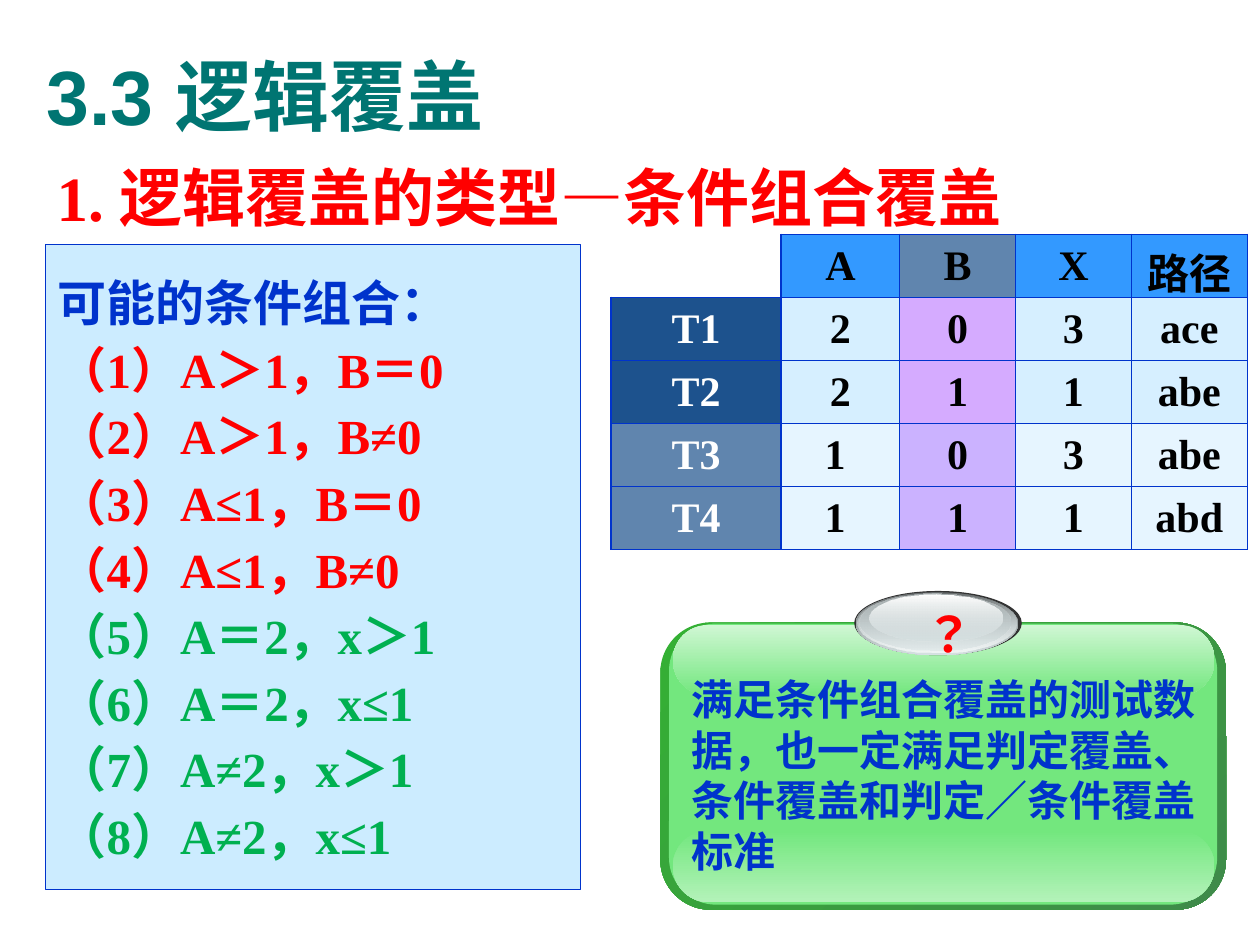
from lxml.etree import SubElement
from pptx import Presentation
from pptx.dml.color import RGBColor
from pptx.enum.shapes import MSO_SHAPE as Shape
from pptx.enum.text import MSO_ANCHOR as Anchor, MSO_AUTO_SIZE as AutoSize, PP_ALIGN as Align
from pptx.oxml.ns import qn
from pptx.oxml import parse_xml
from pptx.oxml.ns import nsdecls
from pptx.util import Inches, Pt

SERIF, SANS = "Times New Roman", "Arial"
BLUE, RED, GREEN, WHITE, BLACK = "0033CC", "FF0000", "00B050", "FFFFFF", "000000"

TITLE = "3.3 逻辑覆盖"
HEADING = [("1. ", SERIF), ("逻辑覆盖的类型", SANS), ("—", SERIF), ("条件组合覆盖", SANS)]
CONDITIONS = [
    ("可能的条件组合：", BLUE),
    ("（1）A＞1，B＝0", RED),
    ("（2）A＞1，B≠0", RED),
    ("（3）A≤1，B＝0", RED),
    ("（4）A≤1，B≠0", RED),
    ("（5）A＝2，x＞1", GREEN),
    ("（6）A＝2，x≤1", GREEN),
    ("（7）A≠2，x＞1", GREEN),
    ("（8）A≠2，x≤1", GREEN),
]
CASES = [
    ("", "A", "B", "X", "路径"),
    ("T1", "2", "0", "3", "ace"),
    ("T2", "2", "1", "1", "abe"),
    ("T3", "1 ", "0", "3", "abe"),
    ("T4", "1 ", "1", "1", "abd"),
]
COLUMN_WIDTHS = (1.35, 0.94, 0.92, 0.92, 0.92)
ROW_HEIGHT = 0.5

# Cell fills as (colour, opacity %): label column, B column, other columns
HEADER_FILLS = (None, ("1D528D", 70), ("3399FF", 100))
STRONG_FILLS = (("1D528D", 100), ("CC99FF", 82), ("CCECFF", 80))
PALE_FILLS = (("1D528D", 70), ("9966FF", 50), ("CCECFF", 48))
ROW_FILLS = (HEADER_FILLS, STRONG_FILLS, STRONG_FILLS, PALE_FILLS, PALE_FILLS)

# Layers from back to front: box, corner rounding, colour stops, angle
PANEL_LAYERS = [
    ((5.24, 4.94, 4.49, 2.28), 0.175, [("34B034", 100), ("3F8B4A", 100)], 45),
    ((5.31, 4.95, 4.35, 2.23), 0.167, [("73E77E", 100)], 0),
    ((5.34, 6.59, 4.30, 0.57), 0.5, [("73E77E", 100), ("B3F2B9", 100)], 90),
    ((5.34, 4.96, 4.30, 0.56), 0.5, [("D0F7D4", 100), ("73E77E", 100)], 90),
]
BADGE_LAYERS = [
    ((6.78, 4.69, 1.33, 0.51), None, [("333333", 100)], 0),
    ((6.79, 4.70, 1.29, 0.50), None, [("636869", 100), ("D6E1E2", 100)], 90),
    ((6.81, 4.70, 1.26, 0.48), None, [("D6E1E2", 0), ("F1F5F5", 100)], 90),
    ((6.82, 4.71, 1.20, 0.45), None, [("AAB2B3", 100), ("D6E1E2", 48)], 90),
    ((6.90, 4.72, 1.06, 0.37), None, [("FFFFFF", 100), ("D6E1E2", 38)], 90),
]
BADGE_MARK = "？"
CONCLUSION = "满足条件组合覆盖的测试数据，也一定满足判定覆盖、条件覆盖和判定／条件覆盖标准"


def rgb(value):
    return RGBColor.from_string(value)


def inches(box):
    return [Inches(length) for length in box]


def style_runs(paragraph, size, colour, font=SERIF):
    for run in paragraph.runs:
        run.font.size, run.font.bold, run.font.name = Pt(size), True, font
        run.font.color.rgb = rgb(colour)


def space_lines(paragraph, line_spacing, gap, first):
    paragraph.line_spacing = line_spacing
    paragraph.space_before = Pt(0 if first else gap)
    paragraph.space_after = Pt(gap)


def set_opacity(properties, opacities):
    for colour, opacity in zip(properties.iter(qn("a:srgbClr")), opacities):
        if opacity < 100:
            SubElement(colour, qn("a:alpha")).set("val", str(opacity * 1000))


def add_layer(shapes, box, rounding, stops, angle):
    kind = Shape.OVAL if rounding is None else Shape.ROUNDED_RECTANGLE
    layer = shapes.add_shape(kind, *inches(box))
    if rounding is not None:
        layer.adjustments[0] = rounding
    layer.shadow.inherit = False
    if len(stops) == 1:
        layer.fill.solid()
        layer.fill.fore_color.rgb = rgb(stops[0][0])
    else:
        layer.fill.gradient()
        layer.fill.gradient_angle = 360 - angle
        for stop, (colour, _) in zip(layer.fill.gradient_stops, stops):
            stop.color.rgb = rgb(colour)
    set_opacity(layer._element.spPr, [opacity for _, opacity in stops])
    layer.line.fill.background()
    return layer


def set_borders(cell, hidden):
    """Line all four sides of a cell, leaving the hidden ones blank."""
    for index, side in enumerate("LRTB"):
        paint = ("<a:noFill/>" if side in hidden else
                 f'<a:solidFill><a:srgbClr val="{BLUE}"/></a:solidFill>')
        border = parse_xml(f'<a:ln{side} {nsdecls("a")} w="12700">{paint}</a:ln{side}>')
        cell._tc.get_or_add_tcPr().insert(index, border)


def add_case_table(shapes):
    size = (sum(COLUMN_WIDTHS), ROW_HEIGHT * len(CASES))
    table = shapes.add_table(len(CASES), len(COLUMN_WIDTHS), *inches((4.85, 1.86, *size))).table
    table.first_row = table.horz_banding = False
    for column, width in zip(table.columns, COLUMN_WIDTHS):
        column.width = Inches(width)
    for r, (case, fills) in enumerate(zip(CASES, ROW_FILLS)):
        table.rows[r].height = Inches(ROW_HEIGHT)
        for c, value in enumerate(case):
            cell = table.cell(r, c)
            fill = fills[{0: 0, 2: 1}.get(c, 2)]
            if fill:
                cell.fill.solid()
                cell.fill.fore_color.rgb = rgb(fill[0])
                set_opacity(cell._tc.tcPr, [fill[1]])
            else:
                cell.fill.background()
            set_borders(cell, "" if fill else "LT")
            cell.vertical_anchor = Anchor.MIDDLE
            cell.text_frame.text = value
            paragraph = cell.text_frame.paragraphs[0]
            paragraph.alignment = Align.CENTER
            style_runs(paragraph, 24, WHITE if c == 0 else BLACK)


def add_title(slide):
    title = slide.shapes.title
    title.left, title.top, title.width, title.height = inches((0.27, 0.13, 9.34, 1.25))
    frame = title.text_frame
    frame.text = TITLE
    frame.auto_size, frame.vertical_anchor = AutoSize.NONE, Anchor.MIDDLE
    frame.paragraphs[0].alignment = Align.LEFT
    style_runs(frame.paragraphs[0], 44, "007572", SANS)


def add_heading(shapes):
    frame = shapes.add_textbox(*inches((0.35, 1.15, 9.21, 0.87))).text_frame
    frame.word_wrap = True
    paragraph = frame.paragraphs[0]
    paragraph.alignment = Align.JUSTIFY
    space_lines(paragraph, 1.1, 1.8, first=True)
    hanging = Inches(0.67)
    properties = paragraph._p.get_or_add_pPr()
    properties.set("marL", str(hanging))
    properties.set("indent", str(-hanging))
    for words, _ in HEADING:
        paragraph.add_run().text = words
    style_runs(paragraph, 36, RED)
    for run, (_, font) in zip(paragraph.runs, HEADING):
        run.font.name = font


def add_conclusion(shapes):
    group = shapes.add_group_shape().shapes
    for layer in PANEL_LAYERS + BADGE_LAYERS:
        front = add_layer(group, *layer)
    badge = front.text_frame
    badge.text = BADGE_MARK
    badge.word_wrap, badge.vertical_anchor = False, Anchor.MIDDLE
    badge._txBody.bodyPr.set("vert", "eaVert")
    badge.paragraphs[0].alignment = Align.CENTER
    style_runs(badge.paragraphs[0], 28, RED, SANS)

    frame = group.add_textbox(*inches((5.39, 5.3, 4.27, 1.7))).text_frame
    frame.text = CONCLUSION
    frame.word_wrap, frame.auto_size = True, AutoSize.SHAPE_TO_FIT_TEXT
    style_runs(frame.paragraphs[0], 24, BLUE)


def add_conditions(shapes):
    panel = shapes.add_shape(Shape.RECTANGLE, *inches((0.36, 1.94, 4.25, 5.12)))
    panel.shadow.inherit = False
    panel.fill.solid()
    panel.fill.fore_color.rgb = rgb("CCECFF")
    panel.line.color.rgb, panel.line.width = rgb(BLUE), Pt(0.75)
    frame = panel.text_frame
    frame.text = "\n".join(words for words, _ in CONDITIONS)
    frame.word_wrap, frame.vertical_anchor = False, Anchor.MIDDLE
    for index, (paragraph, (_, colour)) in enumerate(zip(frame.paragraphs, CONDITIONS)):
        paragraph.alignment = Align.LEFT
        space_lines(paragraph, 1.05, 1.4, first=index == 0)
        style_runs(paragraph, 28, colour)


def main():
    deck = Presentation()
    deck.slide_width, deck.slide_height = Inches(10), Inches(7.5)
    slide = deck.slides.add_slide(deck.slide_layouts[5])
    add_title(slide)
    for add_part in (add_heading, add_case_table, add_conclusion, add_conditions):
        add_part(slide.shapes)
    deck.save("out.pptx")


if __name__ == "__main__":
    main()
